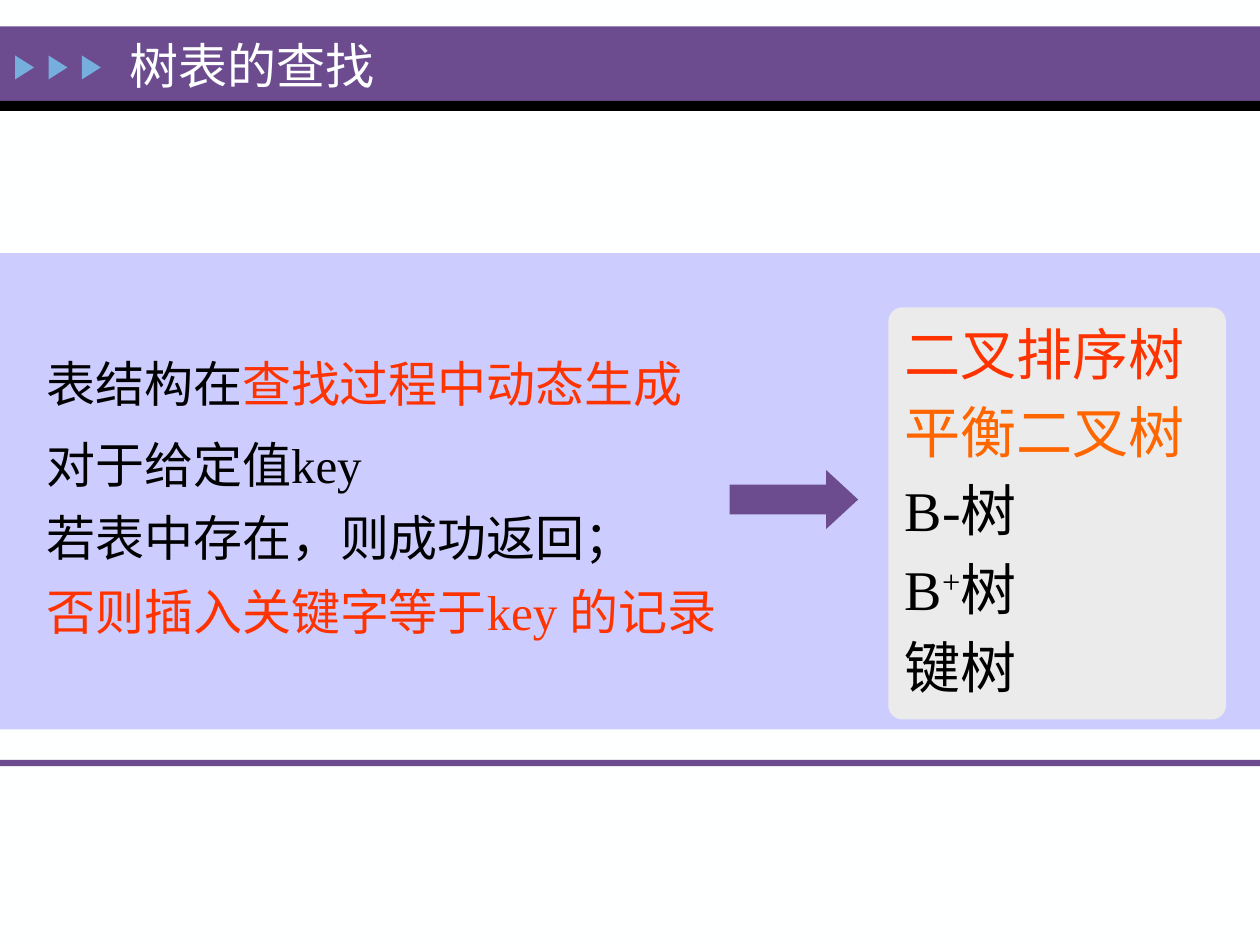
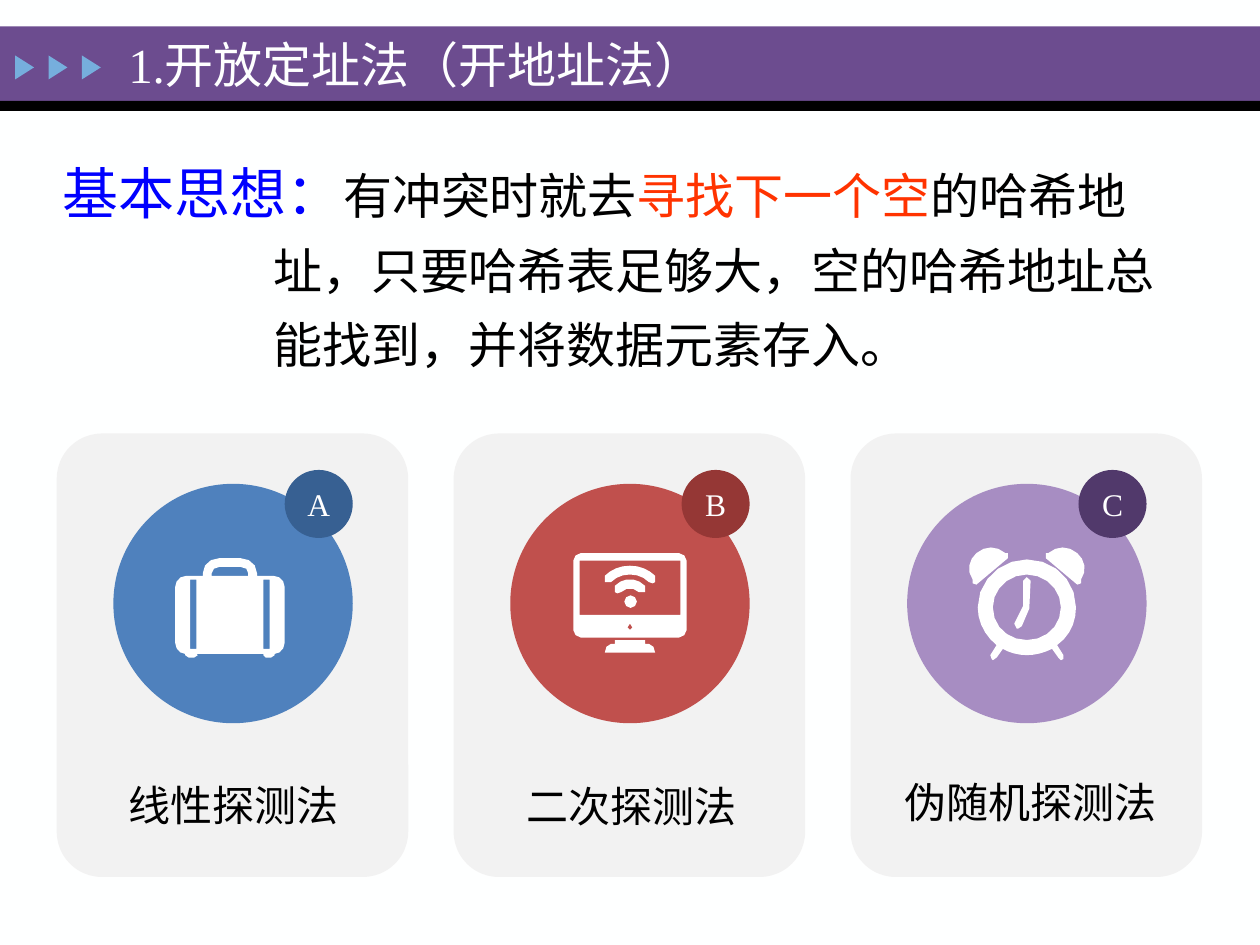
from math import ceil, dist

from pptx import Presentation
from pptx.dml.color import RGBColor
from pptx.enum.shapes import MSO_SHAPE
from pptx.enum.text import MSO_ANCHOR, PP_ALIGN
from pptx.util import Inches, Pt

RECT, ROUNDED = MSO_SHAPE.RECTANGLE, MSO_SHAPE.ROUNDED_RECTANGLE
OVAL, TRIANGLE = MSO_SHAPE.OVAL, MSO_SHAPE.ISOSCELES_TRIANGLE
RIGHT_ARROW = MSO_SHAPE.RIGHT_ARROW
TOP, MIDDLE = MSO_ANCHOR.TOP, MSO_ANCHOR.MIDDLE
LEFT, CENTER = PP_ALIGN.LEFT, PP_ALIGN.CENTER

FONT = "Times New Roman"
PAPER = RGBColor(0xFE, 0xFF, 0xFF)
WHITE = RGBColor(0xFF, 0xFF, 0xFF)
BLACK = RGBColor(0, 0, 0)
PURPLE = RGBColor(0x6C, 0x4C, 0x8F)
SKY = RGBColor(0x76, 0xAE, 0xDD)
LAVENDER = RGBColor(0xCC, 0xCC, 0xFF)
LIST_GREY = RGBColor(0xEB, 0xEB, 0xEB)
CARD_GREY = RGBColor(0xF2, 0xF2, 0xF2)
RED = RGBColor(0xFF, 0x33, 0x00)
ORANGE = RGBColor(0xFF, 0x66, 0x00)
BLUE = RGBColor(0x00, 0x00, 0xFF)
CIRCLE_A, BADGE_A = RGBColor(0x4F, 0x81, 0xBD), RGBColor(0x37, 0x60, 0x92)
CIRCLE_B, BADGE_B = RGBColor(0xC0, 0x50, 0x4D), RGBColor(0x95, 0x37, 0x35)
CIRCLE_C, BADGE_C = RGBColor(0xA7, 0x8D, 0xC2), RGBColor(0x51, 0x39, 0x6B)


def box(left, top, right, bottom):
    return [(left, top), (right, top), (right, bottom), (left, bottom)]


def mirror(contour, axis):
    return [tuple(2 * axis - v if i % 2 == 0 else v for i, v in enumerate(node))
            for node in contour]


SUITCASE = [
    [(2.17, 4.57), (2.04, 4.57), (2.04, 4.55), (2.04, 4.48, 1.98, 4.43, 1.91, 4.43),
     (1.74, 4.43), (1.67, 4.43, 1.61, 4.48, 1.61, 4.55), (1.61, 4.57), (1.48, 4.57),
     (1.43, 4.57, 1.39, 4.61, 1.39, 4.66), (1.39, 5.1),
     (1.39, 5.15, 1.43, 5.19, 1.47, 5.19), (1.47, 5.2), (1.5, 5.22), (1.54, 5.22),
     (1.57, 5.2), (1.56, 5.19), (2.09, 5.19), (2.09, 5.2), (2.11, 5.22), (2.15, 5.22),
     (2.18, 5.2), (2.18, 5.19), (2.22, 5.19, 2.26, 5.15, 2.26, 5.1), (2.26, 4.66),
     (2.26, 4.61, 2.22, 4.57, 2.17, 4.57)],
    box(2.09, 4.6, 2.14, 5.15),
    [(1.68, 4.55), (1.68, 4.52, 1.71, 4.5, 1.74, 4.5), (1.91, 4.5),
     (1.95, 4.5, 1.97, 4.52, 1.97, 4.55), (1.97, 4.57), (1.68, 4.57)],
    box(1.51, 4.6, 1.56, 5.15),
]
CLOCK_FACE = [
    [(8.54, 4.82), (8.54, 4.61, 8.37, 4.44, 8.15, 4.44),
     (7.94, 4.44, 7.76, 4.61, 7.76, 4.82), (7.76, 4.94, 7.82, 5.05, 7.91, 5.12),
     (7.86, 5.2), (7.87, 5.23), (7.88, 5.24), (7.91, 5.22), (7.96, 5.15),
     (8.01, 5.18, 8.08, 5.2, 8.15, 5.2), (8.22, 5.2, 8.29, 5.18, 8.35, 5.15),
     (8.4, 5.22), (8.42, 5.24), (8.44, 5.23), (8.44, 5.2), (8.39, 5.12),
     (8.49, 5.05, 8.54, 4.94, 8.54, 4.82)],
    [(8.15, 5.08), (8, 5.08, 7.88, 4.97, 7.88, 4.82),
     (7.88, 4.68, 8, 4.56, 8.15, 4.56), (8.3, 4.56, 8.42, 4.68, 8.42, 4.82),
     (8.42, 4.97, 8.3, 5.08, 8.15, 5.08)],
]
LEFT_BELL = [
    (8, 4.39), (7.98, 4.39), (7.91, 4.33, 7.82, 4.33, 7.75, 4.39),
    (7.69, 4.44, 7.67, 4.53, 7.72, 4.6), (7.72, 4.63), (7.75, 4.64), (8, 4.43),
    (8.01, 4.42, 8.01, 4.41, 8, 4.39)]
CLOCK_HANDS = [
    (8.15, 4.58), (8.12, 4.61), (8.12, 4.81), (8.05, 4.95), (8.07, 4.99), (8.08, 4.99),
    (8.11, 4.97), (8.17, 4.83), (8.17, 4.82), (8.18, 4.61), (8.15, 4.58)]
STAND = [
    (5.15, 5.11), (5.12, 5.11), (5.12, 5.08), (4.88, 5.08), (4.88, 5.11), (4.85, 5.11),
    (4.82, 5.11, 4.8, 5.15, 4.8, 5.18), (5.2, 5.18), (5.2, 5.15, 5.18, 5.11, 5.15, 5.11)]
SCREEN = [
    [(5.39, 4.39), (4.61, 4.39), (4.58, 4.39, 4.55, 4.42, 4.55, 4.45), (4.55, 5),
     (4.55, 5.03, 4.58, 5.06, 4.61, 5.06), (5.39, 5.06),
     (5.42, 5.06, 5.45, 5.03, 5.45, 5), (5.45, 4.45),
     (5.45, 4.42, 5.42, 4.39, 5.39, 4.39)],
    [(5, 5), (4.98, 4.98), (5, 4.95), (5.02, 4.98)],
    box(4.6, 4.45, 5.4, 4.88),
]
INNER_WAVE = [
    (4.88, 4.65), (4.87, 4.66, 4.87, 4.68, 4.88, 4.7), (4.9, 4.71), (4.93, 4.7),
    (4.97, 4.66, 5.03, 4.66, 5.07, 4.7), (5.09, 4.71, 5.11, 4.71, 5.12, 4.7),
    (5.13, 4.68, 5.13, 4.66, 5.12, 4.65), (5.05, 4.58, 4.95, 4.58, 4.88, 4.65)]
OUTER_WAVE = [
    (5, 4.49), (4.92, 4.49, 4.85, 4.52, 4.8, 4.57), (4.79, 4.58, 4.79, 4.61, 4.8, 4.62),
    (4.81, 4.63, 4.83, 4.63, 4.85, 4.62), (4.89, 4.58, 4.94, 4.56, 5, 4.56),
    (5.06, 4.56, 5.11, 4.58, 5.15, 4.62), (5.18, 4.63), (5.2, 4.62),
    (5.21, 4.61, 5.21, 4.58, 5.2, 4.57), (5.15, 4.52, 5.08, 4.49, 5, 4.49)]
WAVE_DOT = [
    (4.97, 4.74), (4.95, 4.76, 4.95, 4.79, 4.97, 4.81), (4.99, 4.83, 5.02, 4.83, 5.04, 4.81),
    (5.06, 4.79, 5.06, 4.76, 5.04, 4.74), (5.02, 4.72, 4.99, 4.72, 4.97, 4.74)]
MONITOR_ICON = [[STAND], SCREEN, [INNER_WAVE], [OUTER_WAVE], [WAVE_DOT]]
CLOCK_ICON = [CLOCK_FACE, [LEFT_BELL], [mirror(LEFT_BELL, 8.15)], [CLOCK_HANDS]]


def paint(sp, fill):
    sp.shadow.inherit = False
    sp.fill.solid()
    sp.fill.fore_color.rgb = fill
    sp.line.fill.background()


def add_shape(s, kind, frame, fill, *adjustments):
    sp = s.shapes.add_shape(kind, *map(Inches, frame))
    paint(sp, fill)
    for i, value in enumerate(adjustments):
        sp.adjustments[i] = value
    return sp


def write(sp, paragraphs, size, anchor=TOP, align=LEFT, spacing=None, before=0):
    tf = sp.text_frame
    tf.word_wrap = True
    tf.vertical_anchor = anchor
    for i, runs in enumerate(paragraphs):
        p = tf.paragraphs[0] if i == 0 else tf.add_paragraph()
        p.alignment = align
        if spacing:
            p.line_spacing = spacing
        if i and before:
            p.space_before = Pt(before)
        p.font.name = FONT
        p.font.size = Pt(size)
        p.font.color.rgb = runs[0][1]
        for text, color in runs:
            r = p.add_run()
            r.text = text
            if color != runs[0][1]:
                r.font.color.rgb = color
    return tf


def add_text(s, frame, paragraphs, size, **style):
    sp = s.shapes.add_textbox(*map(Inches, frame))
    return write(sp, paragraphs, size, **style)


def flatten(contour):
    points = [contour[0]]
    for node in contour[1:]:
        if len(node) == 2:
            points.append(node)
            continue
        x0, y0 = points[-1]
        x1, y1, x2, y2, x3, y3 = node
        steps = min(5, ceil(dist((x0, y0), (x3, y3)) / 0.06))
        for k in range(1, steps + 1):
            t = k / steps
            a, b, c, d = (1 - t) ** 3, 3 * t * (1 - t) ** 2, 3 * t * t * (1 - t), t ** 3
            points.append((a * x0 + b * x1 + c * x2 + d * x3,
                           a * y0 + b * y1 + c * y2 + d * y3))
    return [(Inches(x), Inches(y)) for x, y in points]


def add_outline(s, contours):
    first, *holes = map(flatten, contours)
    builder = s.shapes.build_freeform(*first[0])
    builder.add_line_segments(first[1:], close=True)
    for hole in holes:
        builder.move_to(*hole[0])
        builder.add_line_segments(hole[1:], close=True)
    paint(builder.convert_to_shape(), WHITE)


def add_titled_slide(prs, title, title_frame):
    s = prs.slides.add_slide(prs.slide_layouts[6])
    add_shape(s, RECT, (0, 0.21, 10, 0.59), PURPLE)
    add_shape(s, RECT, (0, 0.8, 10, 0.08), BLACK)
    for i in range(3):
        add_shape(s, TRIANGLE, (0.1 + 0.265 * i, 0.46, 0.19, 0.15), SKY).rotation = 90
    add_text(s, title_frame, [[(title, PAPER)]], 28, anchor=MIDDLE)
    return s


def add_card(s, left, letter, circle, badge, label, label_frame, spacing, icon):
    add_shape(s, ROUNDED, (left, 3.44, 2.79, 3.52), CARD_GREY, 0.129)
    add_shape(s, OVAL, (left + 0.45, 3.84, 1.9, 1.9), circle)
    sp = add_shape(s, OVAL, (left + 1.81, 3.73, 0.54, 0.54), badge)
    write(sp, [[(letter, WHITE)]], 18, anchor=MIDDLE, align=CENTER)
    tf = add_text(s, label_frame, [[(label, BLACK)]], 24,
                  anchor=MIDDLE, align=CENTER, spacing=spacing)
    tf.margin_left = tf.margin_top = tf.margin_right = tf.margin_bottom = 0
    for contours in icon:
        add_outline(s, contours)


def add_tree_slide(prs):
    s = add_titled_slide(prs, "树表的查找", (0.93, 0.14, 6.73, 0.75))
    add_shape(s, RECT, (0, 2.01, 10, 3.78), LAVENDER)
    add_shape(s, RECT, (0, 6.03, 10, 0.05), PURPLE)
    add_text(s, (0.27, 2.64, 5.31, 0.64),
             [[("表结构在", BLACK), ("查找过程中动态生成", RED)]], 28, spacing=1.25)
    add_text(s, (0.27, 3.28, 5.69, 1.87),
             [[("对于给定值key", BLACK)],
              [("若表中存在，则成功返回；", BLACK)],
              [("否则插入关键字等于key 的记录", RED)]], 28, spacing=1.25)
    trees = add_shape(s, ROUNDED, (7.05, 2.44, 2.68, 3.27), LIST_GREY, 0.042)
    tf = write(trees, [[("二叉排序树", RED)],
                       [("平衡二叉树", ORANGE)],
                       [("B-树", BLACK)],
                       [("B", BLACK), ("+", BLACK), ("树", BLACK)],
                       [("键树", BLACK)]], 32, before=6.4)
    tf.margin_top = Inches(0.06)
    plus = tf.paragraphs[3].runs[1]
    plus._r.get_or_add_rPr().set("baseline", "30000")
    add_shape(s, RIGHT_ARROW, (5.79, 3.73, 1.02, 0.47), PURPLE, 0.5, 0.541)


def add_open_addressing_slide(prs):
    s = add_titled_slide(prs, "1.开放定址法（开地址法）", (0.92, 0.23, 5.66, 0.56))
    tf = add_text(s, (0.4, 1.08, 8.98, 1.9),
                  [[("基本思想：", BLUE), ("有冲突时就去", BLACK), ("寻找下一个空", RED),
                    ("的哈希地址，只要哈希表足够大，空的哈希地址总能找到，并将数据元素存入。",
                     BLACK)]], 28, spacing=1.25)
    idea = tf.paragraphs[0]
    idea.runs[0].font.size = Pt(32)
    pPr = idea._p.get_or_add_pPr()
    pPr.set("marL", str(Inches(1.67)))
    pPr.set("indent", str(-Inches(1.67)))
    cards = [
        ("A", CIRCLE_A, BADGE_A, "线性探测法", (0.61, 5.85, 2.49, 0.94), 1.35, [SUITCASE]),
        ("B", CIRCLE_B, BADGE_B, "二次探测法", (3.66, 5.9, 2.7, 0.89), 1.25, MONITOR_ICON),
        ("C", CIRCLE_C, BADGE_C, "伪随机探测法", (6.88, 5.83, 2.6, 0.97), 1.25, CLOCK_ICON),
    ]
    for i, card in enumerate(cards):
        add_card(s, 0.45 + 3.15 * i, *card)


def main():
    prs = Presentation()
    prs.slide_width, prs.slide_height = Inches(10), Inches(7.5)
    background = prs.slide_master.background.fill
    background.solid()
    background.fore_color.rgb = PAPER
    add_tree_slide(prs)
    add_open_addressing_slide(prs)
    prs.save("out.pptx")


if __name__ == "__main__":
    main()
